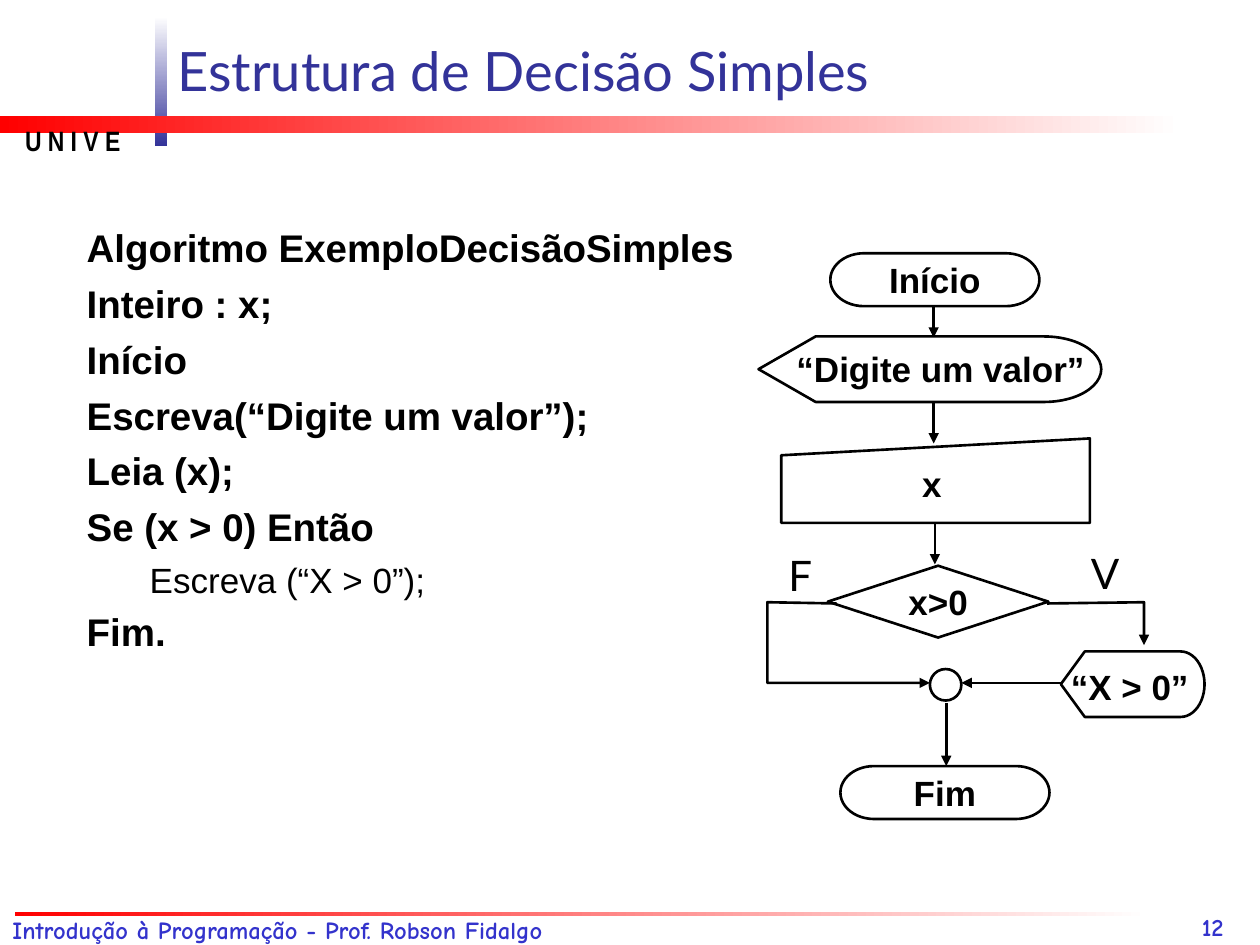
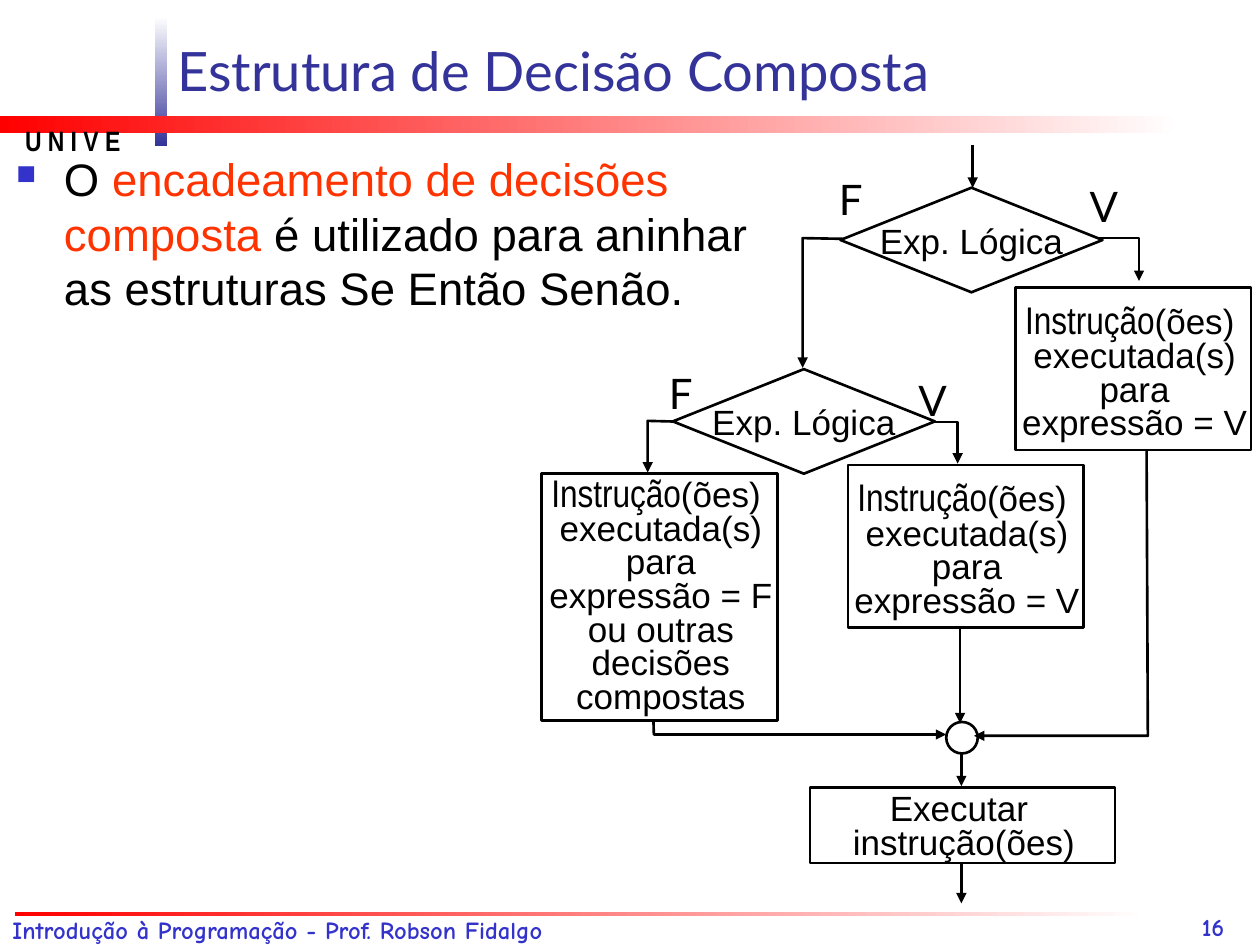
from dataclasses import dataclass
from typing import Any

from lxml.etree import SubElement
from pptx import Presentation
from pptx.dml.color import RGBColor
from pptx.enum.shapes import MSO_CONNECTOR, MSO_SHAPE
from pptx.enum.text import MSO_ANCHOR, MSO_AUTO_SIZE, PP_ALIGN
from pptx.oxml.ns import qn
from pptx.util import Inches, Pt

BLACK, WHITE, RED = "000000", "FFFFFF", "FF0000"
NAVY, BLUE, ORANGE = "333399", "3333CC", "FF3300"
BODY_FONT, TITLE_FONT, FOOTER_FONT, NARROW_FONT = "Arial", "Lato", "Comic Neue", "Arial Narrow"
COURSE = "Introdução à Programação - Prof. Robson Fidalgo"


def rgb(hex_code):
    """Turn a hex string into a colour."""
    return RGBColor.from_string(hex_code)


def set_font(font, size=None, name=None, color=None, bold=None):
    """Set the given properties of a font."""
    if size:
        font.size = Pt(size)
    if name:
        font.name = name
    if color:
        font.color.rgb = rgb(color)
    if bold is not None:
        font.bold = bold


def write(frame, lines, size, name=BODY_FONT, color=BLACK, bold=False,
          align=None, spacing=None):
    """Write one paragraph per line; a line is a string or (text, overrides) runs."""
    for index, line in enumerate(lines):
        paragraph = frame.paragraphs[0] if index == 0 else frame.add_paragraph()
        set_font(paragraph.font, size, name, color, bold)
        paragraph.alignment = align
        paragraph.line_spacing = spacing
        for text, overrides in [(line, {})] if isinstance(line, str) else line:
            run = paragraph.add_run()
            run.text = text
            set_font(run.font, **overrides)


def indent(paragraph, margin, first=0):
    """Set the left margin and first-line indent of a paragraph."""
    properties = paragraph._p.get_or_add_pPr()
    properties.set("marL", str(Inches(margin)))
    properties.set("indent", str(Inches(first)))
    return properties


def add_arrowhead(shape):
    """End the line of a shape in a triangle."""
    SubElement(shape.element.find(".//" + qn("a:ln")), qn("a:tailEnd"), type="triangle")


@dataclass
class Region:
    """A part of a slide; places are in inches from its top left corner."""
    shapes: Any
    left: float = 0
    top: float = 0

    def at(self, x, y):
        """Convert a place in the region to a place on the slide."""
        return Inches(self.left + x), Inches(self.top + y)

    def text(self, x, y, width, height, lines, wrap=False, grow=True, anchor=None, **style):
        """Add a text box and return its frame."""
        frame = self.shapes.add_textbox(*self.at(x, y), Inches(width), Inches(height)).text_frame
        frame.word_wrap = wrap
        frame.auto_size = MSO_AUTO_SIZE.SHAPE_TO_FIT_TEXT if grow else MSO_AUTO_SIZE.NONE
        frame.vertical_anchor = anchor
        write(frame, lines, **style)
        return frame

    def gradient(self, x, y, width, height, start, end, angle=0):
        """Add a rectangle that fades from one colour to another."""
        band = self.shapes.add_shape(MSO_SHAPE.RECTANGLE, *self.at(x, y),
                                     Inches(width), Inches(height))
        band.shadow.inherit = False
        band.line.fill.background()
        band.fill.gradient()
        band.fill.gradient_angle = angle
        for stop, color in zip(band.fill.gradient_stops, (start, end)):
            stop.color.rgb = rgb(color)

    def outline(self, shape, filled=False):
        """Give a shape the black line of the flowcharts."""
        shape.shadow.inherit = False
        shape.line.color.rgb = rgb(BLACK)
        shape.line.width = Pt(1.5)
        if filled:
            shape.fill.solid()
            shape.fill.fore_color.rgb = rgb(WHITE)
        else:
            shape.fill.background()

    def node(self, kind, x, y, width, height, label=None, filled=True, bold=False):
        """Add a flowchart symbol, with a centred label if it has one."""
        symbol = self.shapes.add_shape(kind, *self.at(x, y), Inches(width), Inches(height))
        self.outline(symbol, filled)
        if label:
            frame = symbol.text_frame
            frame.word_wrap = False
            frame.vertical_anchor = MSO_ANCHOR.MIDDLE
            write(frame, [label], 20, bold=bold, align=PP_ALIGN.CENTER)

    def arrow(self, x1, y1, x2, y2):
        """Add a straight arrow."""
        link = self.shapes.add_connector(MSO_CONNECTOR.STRAIGHT, *self.at(x1, y1),
                                         *self.at(x2, y2))
        link.line.color.rgb = rgb(BLACK)
        link.line.width = Pt(1.5)
        add_arrowhead(link)
        SubElement(link.element.spPr, qn("a:effectLst"))

    def branch(self, start, *corners):
        """Add an arrow that bends at each corner."""
        builder = self.shapes.build_freeform(*self.at(*start))
        builder.add_line_segments([self.at(*corner) for corner in corners], close=False)
        bent = builder.convert_to_shape()
        self.outline(bent)
        add_arrowhead(bent)

    def verdicts(self, false_at, true_at):
        """Mark the two ways out of a decision."""
        self.text(*false_at, 0.37, 0.5, ["F"], size=24, name=TITLE_FONT)
        self.text(*true_at, 0.4, 0.5, ["V"], size=24, name=TITLE_FONT)


def add_frame(deck, title, number):
    """Start a slide with its bands, title, footer and number."""
    slide = deck.slides.add_slide(deck.slide_layouts[6])
    page = Region(slide.shapes)
    page.gradient(1.23, 0.13, 0.1, 1.03, WHITE, NAVY, angle=270)
    page.gradient(0, 0.92, 9.38, 0.14, RED, WHITE)
    footer = dict(size=14, name=FOOTER_FONT, color=BLUE, bold=True)
    course = page.text(0, 7.21, 6.27, 0.34, [COURSE], wrap=True, **footer).paragraphs[0]
    course.space_before = course.space_after = Pt(5)
    page.gradient(0.12, 7.24, 9, 0.03, RED, WHITE)
    page.text(0.1, 0.93, 1.02, 0.37, ["U N I V E"], size=16, name=NARROW_FONT, bold=True)
    page.text(1.31, 0.18, 9.19, 0.68, [title], wrap=True, grow=False,
              anchor=MSO_ANCHOR.BOTTOM, size=31, name=TITLE_FONT, color=NAVY)
    page.text(9.44, 7.02, 0.83, 0.5, [str(number)], wrap=True, grow=False,
              anchor=MSO_ANCHOR.BOTTOM, **footer)
    return slide


def add_algorithm(region, width, height):
    """Write the pseudocode, with the guarded statement one level deeper."""
    guarded = "Escreva (“X > 0”);"
    statements = ["Algoritmo ExemploDecisãoSimples", "Inteiro : x;", "Início",
                  "Escreva(“Digite um valor”);", "Leia (x);", "Se (x > 0) Então",
                  guarded, "Fim."]
    frame = region.text(0, 0, width, height, statements, wrap=True, grow=False,
                        size=22, bold=True, align=PP_ALIGN.JUSTIFY)
    for paragraph in frame.paragraphs:
        inner = paragraph.text == guarded
        paragraph.level = 2 if inner else 1
        paragraph.space_before = Pt(5 if inner else 5.5)
        indent(paragraph, 1 if inner else 0.5)
        if inner:
            set_font(paragraph.font, size=20, bold=False)
    frame.paragraphs[-1].space_before = Pt(4.5)


def add_simple_flow(flow):
    """Draw the flowchart of a decision with one guarded statement."""
    label = dict(size=20, bold=True)
    flow.arrow(1.41, 1.19, 1.41, 1.52)
    flow.arrow(1.41, 0.35, 1.41, 0.68)
    flow.node(MSO_SHAPE.FLOWCHART_MANUAL_INPUT, 0.2, 1.48, 2.45, 0.67)
    flow.text(1.22, 1.62, 0.35, 0.44, ["x"], **label)
    flow.node(MSO_SHAPE.FLOWCHART_DISPLAY, 0.02, 0.67, 2.72, 0.52)
    flow.text(0.22, 0.71, 2.49, 0.44, ["“Digite um valor”"], align=PP_ALIGN.CENTER, **label)
    flow.node(MSO_SHAPE.FLOWCHART_TERMINATOR, 0.59, 0.01, 1.66, 0.42, "Início", bold=True)
    flow.arrow(1.42, 2.15, 1.42, 2.48)
    flow.node(MSO_SHAPE.FLOWCHART_DECISION, 0.57, 2.49, 1.75, 0.57, "x>0",
              filled=False, bold=True)
    flow.branch((2.31, 2.79), (3.08, 2.78), (3.08, 3.12))
    flow.branch((0.64, 2.79), (0.09, 2.78), (0.09, 3.42), (1.38, 3.42))
    flow.arrow(2.42, 3.42, 1.63, 3.42)
    flow.node(MSO_SHAPE.FLOWCHART_CONNECTOR, 1.38, 3.31, 0.25, 0.25, filled=False)
    flow.arrow(1.51, 3.58, 1.51, 4.08)
    flow.verdicts((0.16, 2.31), (2.56, 2.3))
    flow.text(2.4, 3.23, 1.2, 0.44, ["“X > 0”"], **label)
    flow.node(MSO_SHAPE.FLOWCHART_TERMINATOR, 0.67, 4.08, 1.66, 0.42, "Fim", bold=True)
    flow.node(MSO_SHAPE.FLOWCHART_DISPLAY, 2.42, 3.17, 1.14, 0.52, filled=False)


def add_explanation(region, width, height):
    """Write the bulleted explanation of chained decisions."""
    explanation = [("O ", {}), ("encadeamento de decisões composta ", {"color": ORANGE}),
                   ("é utilizado para aninhar as estruturas Se Então Senão.", {})]
    frame = region.text(0, 0, width, height, [explanation], wrap=True, grow=False, size=26)
    paragraph = frame.paragraphs[0]
    paragraph.space_before = Pt(6.5)
    properties = indent(paragraph, 0.38, -0.38)
    bullet_color = SubElement(properties, qn("a:buClr"))
    SubElement(bullet_color, qn("a:srgbClr"), val=BLUE)
    SubElement(properties, qn("a:buSzPct"), val="60000")
    SubElement(properties, qn("a:buChar"), char="■")
    # The schema wants the default run properties after the bullet.
    properties.append(properties.find(qn("a:defRPr")))


def add_instructions(flow, x, y, height, outcome, label_drop=0.09, extra=()):
    """Draw a box with the instructions run for one outcome."""
    flow.node(MSO_SHAPE.FLOWCHART_PROCESS, x, y, 1.87, height)
    heading = [("Instrução", {"size": 22, "name": NARROW_FONT}), ("(ões) ", {})]
    flow.text(x - 0.05, y + label_drop, 1.99, height - label_drop,
              [heading, "executada(s) para", f"expressão = {outcome}", *extra],
              wrap=True, size=20, align=PP_ALIGN.CENTER, spacing=0.8)


def add_chained_flow(flow):
    """Draw the flowchart of one decision nested in another."""
    flow.arrow(3.63, 5.67, 3.63, 6.17)
    flow.arrow(3.62, 3.92, 3.62, 4.74)
    flow.node(MSO_SHAPE.FLOWCHART_PROCESS, 2.43, 5.25, 2.42, 0.6)
    flow.text(2.6, 5.26, 2.1, 0.64, ["Executar ", "instrução(ões)"],
              size=20, align=PP_ALIGN.CENTER, spacing=0.8)
    flow.arrow(3.63, 4.74, 3.63, 5.24)
    flow.arrow(3.72, 0.15, 3.72, 0.49)
    flow.branch((4.6, 0.89), (5.04, 0.89), (5.04, 1.23))
    flow.branch((2.92, 0.9), (2.37, 0.89), (2.37, 1.92))
    flow.branch((1.53, 2.35), (1.14, 2.34), (1.14, 2.75))
    flow.branch((3.22, 2.35), (3.6, 2.35), (3.6, 2.68))
    flow.node(MSO_SHAPE.FLOWCHART_CONNECTOR, 3.51, 4.73, 0.25, 0.25)
    flow.branch((1.18, 4.5), (1.19, 4.83), (3.51, 4.83))
    flow.branch((5.1, 2.5), (5.11, 4.84), (3.73, 4.84))
    flow.verdicts((1.21, 1.87), (3.19, 1.92))
    flow.verdicts((2.56, 0.33), (4.55, 0.38))
    for x, y in ((2.67, 0.49), (1.34, 1.93)):
        flow.node(MSO_SHAPE.FLOWCHART_DECISION, x, y, 2.08, 0.83, "Exp. Lógica")
    add_instructions(flow, 2.73, 2.69, 1.29, "V")
    add_instructions(flow, 4.06, 1.28, 1.29, "V")
    add_instructions(flow, 0.3, 2.76, 1.96, "F", label_drop=-0.02,
                     extra=["ou outras decisões compostas"])


def main():
    """Build and save the two slides."""
    deck = Presentation()
    deck.slide_width, deck.slide_height = Inches(10), Inches(7.5)

    simple = add_frame(deck, "Estrutura de Decisão Simples", 12)
    add_algorithm(Region(simple.shapes, 0.09, 1.73), 9.83, 5.44)
    add_simple_flow(Region(simple.shapes, 6, 2))

    chained = add_frame(deck, "Estrutura de Decisão Composta", 16)
    add_explanation(Region(chained.shapes, 0.03, 1.15), 6.13, 6.08)
    add_chained_flow(Region(chained.shapes.add_group_shape().shapes, 4, 1))

    deck.save("out.pptx")


main()
